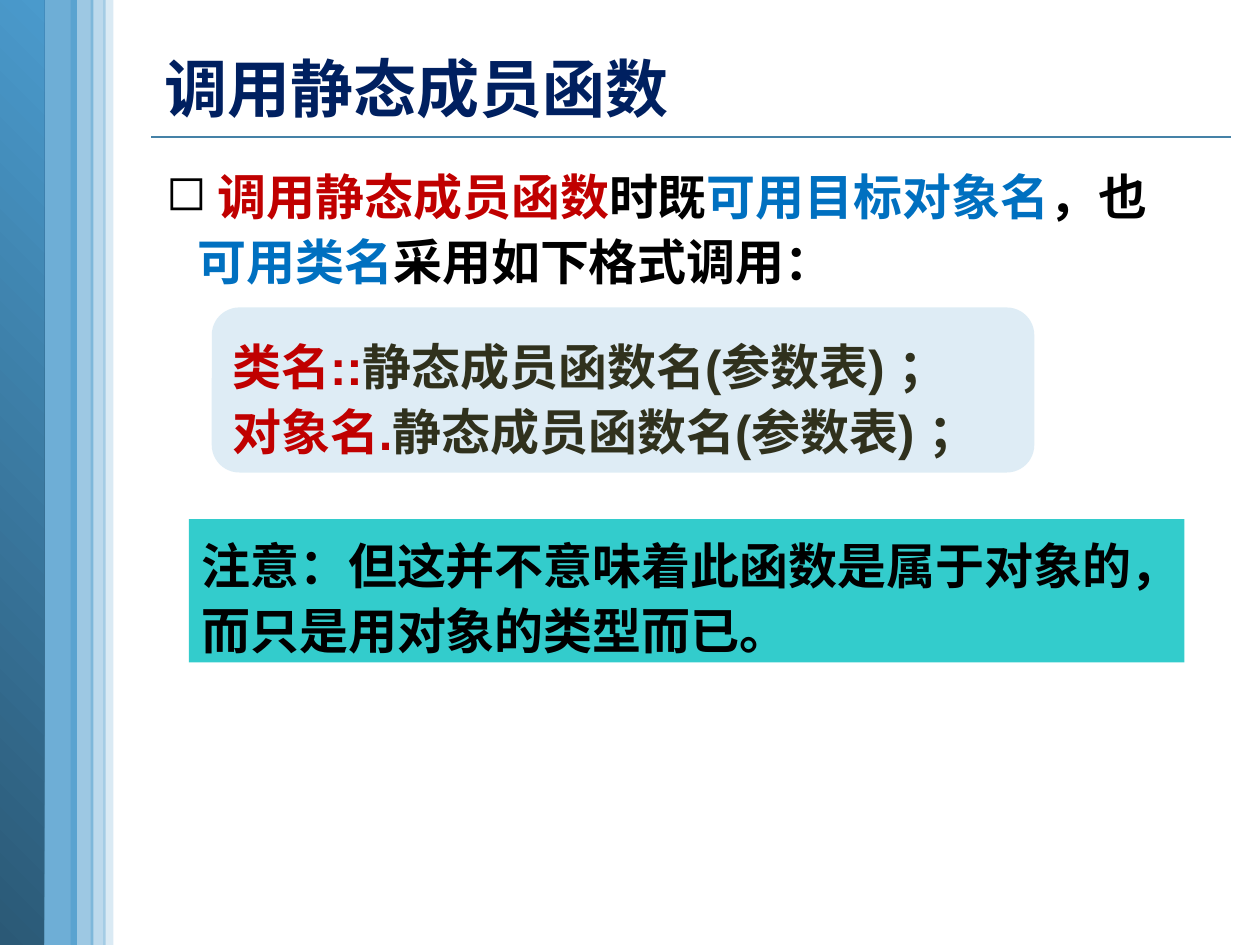
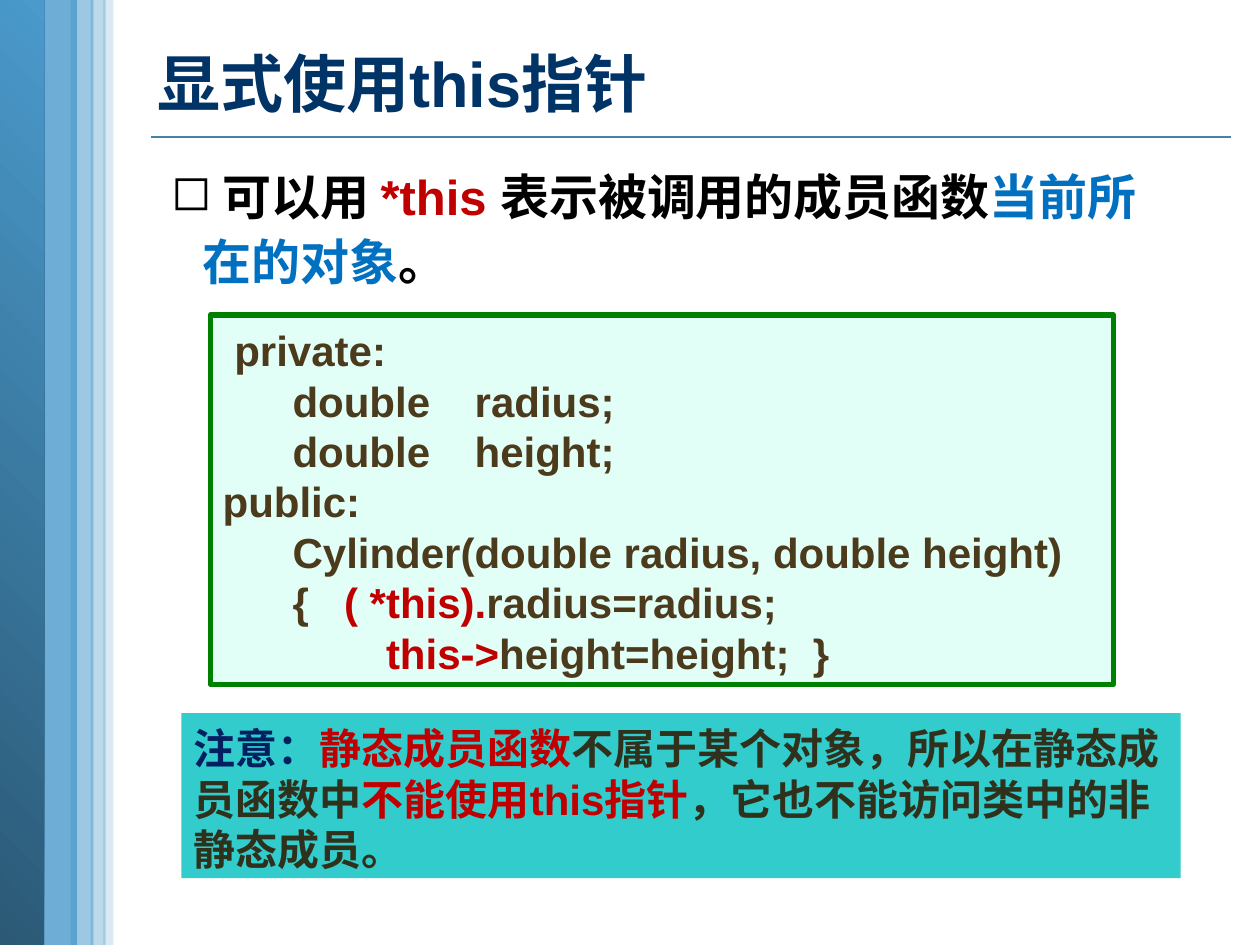
"""Build two slides on static member functions and the this pointer."""
from dataclasses import dataclass
from typing import Optional

from lxml.etree import SubElement
from pptx import Presentation
from pptx.dml.color import RGBColor
from pptx.enum.shapes import MSO_CONNECTOR, MSO_SHAPE
from pptx.enum.text import MSO_ANCHOR as ANCHOR
from pptx.oxml.ns import qn
from pptx.util import Pt


@dataclass(frozen=True)
class Theme:
    """Colours, fonts and type sizes shared by the slides."""
    sky: str = "4A9ACC"
    deep: str = "2B5976"
    rule: str = "4582A7"
    pale: str = "92C2E0"
    teal: str = "33CCCC"
    mint: str = "E1FFF7"
    green: str = "008000"
    black: str = "000000"
    red: str = "C00000"
    blue: str = "0070C0"
    navy: str = "002060"
    ink: str = "003366"
    olive: str = "30311D"
    brown: str = "4C3A1C"
    latin: str = "Arial"
    cjk: str = "Noto Sans CJK SC"
    title: float = 36
    body: float = 28
    small: float = 24
    title_pitch: float = 48.9
    body_pitch: float = 37.2
    small_pitch: float = 28.8


T = Theme()
Line = list[tuple[str, str]]


@dataclass(frozen=True)
class Band:
    """A vertical stripe at the left edge; no alpha means a gradient."""
    left: float
    width: float
    alpha: Optional[int] = None


@dataclass(frozen=True)
class Box:
    """A block of text lines with an optional filled outline."""
    left: float
    top: float
    width: float
    height: float
    lines: list[Line]
    size: float = T.body
    pitch: float = T.body_pitch
    shape: Optional[MSO_SHAPE] = None
    fill: str = T.teal
    alpha: int = 100
    border: Optional[str] = None
    bullet: bool = False
    middle: bool = False
    wrap: bool = True
    insets: tuple[float, float, float, float] = (7.2, 5.6, 7.2, 3.6)


BANDS = [Band(21.6, 22.3, 80), Band(0, 25.2), Band(59, 5.8, 20),
         Band(40.3, 13, 54), Band(51.8, 8.6, 37)]


def rgb(color: str) -> RGBColor:
    """Turn a hex string into a colour."""
    return RGBColor.from_string(color)


def set_fill(sp, color: str, alpha: int = 100) -> None:
    """Fill a shape with a solid colour of the given opacity."""
    sp.fill.solid()
    sp.fill.fore_color.rgb = rgb(color)
    if alpha < 100:
        clr = sp.fill._xPr.find(".//" + qn("a:srgbClr"))
        SubElement(clr, qn("a:alpha")).set("val", str(alpha * 1000))


def add_text(p, text: str, *, size: float, color: str) -> None:
    """Append a bold run to a paragraph."""
    r = p.add_run()
    r.text = text
    r.font.size, r.font.bold, r.font.name = Pt(size), True, T.latin
    r.font.color.rgb = rgb(color)
    SubElement(r.font._element, qn("a:ea")).set("typeface", T.cjk)


def add_bullet(p) -> None:
    """Give a paragraph a hanging square bullet."""
    pPr = p._p.get_or_add_pPr()
    pPr.set("marL", str(Pt(18)))
    pPr.set("indent", str(-Pt(18)))
    SubElement(pPr, qn("a:buChar")).set("char", "◻")


def draw_band(slide, band: Band, height: int) -> None:
    """Draw one stripe over the full slide height."""
    sp = slide.shapes.add_shape(MSO_SHAPE.RECTANGLE, Pt(band.left), 0, Pt(band.width), height)
    sp.shadow.inherit = False
    sp.line.fill.background()
    if band.alpha:
        set_fill(sp, T.sky, band.alpha)
        return
    sp.fill.gradient()
    sp.fill.gradient_angle = 45
    for stop, color, position in zip(sp.fill.gradient_stops, (T.deep, T.sky), (0, 1)):
        stop.color.rgb = rgb(color)
        stop.position = position


def draw_rule(slide) -> None:
    """Draw the thin line below the title."""
    rule = slide.shapes.add_connector(MSO_CONNECTOR.STRAIGHT, Pt(86.4), Pt(78.5), Pt(703.4), Pt(78.5))
    rule.line.color.rgb = rgb(T.rule)
    rule.line.width = Pt(1)
    SubElement(rule._element.spPr, qn("a:effectLst"))


def draw_box(slide, box: Box) -> None:
    """Draw a text block, with its outline if it has one."""
    frame = Pt(box.left), Pt(box.top), Pt(box.width), Pt(box.height)
    if box.shape is None:
        sp = slide.shapes.add_textbox(*frame)
    else:
        sp = slide.shapes.add_shape(box.shape, *frame)
        sp.shadow.inherit = False
        set_fill(sp, box.fill, box.alpha)
        if box.border:
            sp.line.color.rgb = rgb(box.border)
            sp.line.width = Pt(3)
        else:
            sp.line.fill.background()
    tf = sp.text_frame
    tf.word_wrap = box.wrap
    tf.vertical_anchor = ANCHOR.MIDDLE if box.middle else ANCHOR.TOP
    tf.margin_left, tf.margin_top, tf.margin_right, tf.margin_bottom = map(Pt, box.insets)
    for i, line in enumerate(box.lines):
        p = tf.add_paragraph() if i else tf.paragraphs[0]
        if box.bullet:
            add_bullet(p)
        p.alignment = 1
        p.line_spacing = Pt(box.pitch)
        for text, color in line:
            add_text(p, text, size=box.size, color=color)


def title(text: str, color: str, left: float, top: float) -> Box:
    """Describe a slide title."""
    return Box(left, top, 703 - left, 54, [[(text, color)]], T.title, T.title_pitch,
               middle=True, insets=(0, 11, 0, 0))


def lead(left: float, line: Line) -> Box:
    """Describe the bulleted opening statement."""
    return Box(left, 87.8, 582.5, 82, [line], bullet=True, insets=(7.2, 4, 7.2, 3.6))


def add_slide(prs, boxes: list[Box]) -> None:
    """Add a slide with the shared decoration and its own boxes."""
    slide = prs.slides.add_slide(prs.slide_layouts[6])
    draw_rule(slide)
    for band in BANDS:
        draw_band(slide, band, prs.slide_height)
    for box in boxes:
        draw_box(slide, box)


CALL = ("静态成员函数名(参数表) ；", T.olive)
STATIC_CALL = [
    title("调用静态成员函数", T.navy, 94.3, 14.5),
    lead(87.8, [(" ", T.black), ("调用静态成员函数", T.red), ("时既", T.black),
                ("可用目标对象名", T.blue), ("，也", T.black), ("可用类名", T.blue),
                ("采用如下格式调用：", T.black)]),
    Box(121, 175.7, 470, 94.3, [[("类名::", T.red), CALL], [("对象名.", T.red), CALL]],
        shape=MSO_SHAPE.ROUNDED_RECTANGLE, fill=T.pale, alpha=30, middle=True, wrap=False,
        insets=(7.2, 10, 0, 3.6)),
    Box(108, 296.6, 568.8, 82,
        [[("注意：但这并不意味着此函数是属于对象的，而只是用对象的类型而已。", T.black)]],
        shape=MSO_SHAPE.RECTANGLE),
]
THIS_POINTER = [
    title("显式使用this指针", T.ink, 90, 11.5),
    lead(90.7, [(" 可以用 ", T.black), ("*this ", T.red), ("表示被调用的成员函数", T.black),
                ("当前所在的对象", T.blue), ("。", T.black)]),
    Box(103.7, 407.5, 571, 94.3,
        [[("注意：", T.navy), ("静态成员函数", T.red),
          ("不属于某个对象，所以在静态成员函数中", T.olive), ("不能使用this指针", T.red),
          ("，它也不能访问类中的非静态成员。", T.olive)]],
        T.small, T.small_pitch, MSO_SHAPE.RECTANGLE),
    Box(120.2, 180, 516.2, 211,
        [[(" private:", T.brown)],
         [("      double \tradius;", T.brown)],
         [("      double\theight;", T.brown)],
         [("public:", T.brown)],
         [("      Cylinder(double radius, double height)", T.brown)],
         [("      {   ", T.brown), ("( *this).", T.red), ("radius=radius;", T.brown)],
         [("              ", T.brown), ("this->", T.red), ("height=height;  }", T.brown)]],
        T.small, T.small_pitch, MSO_SHAPE.RECTANGLE, T.mint, border=T.green),
]


def main() -> None:
    """Build and save the presentation."""
    prs = Presentation()
    prs.slide_width, prs.slide_height = Pt(720), Pt(540)
    for boxes in (STATIC_CALL, THIS_POINTER):
        add_slide(prs, boxes)
    prs.save("out.pptx")


if __name__ == "__main__":
    main()
